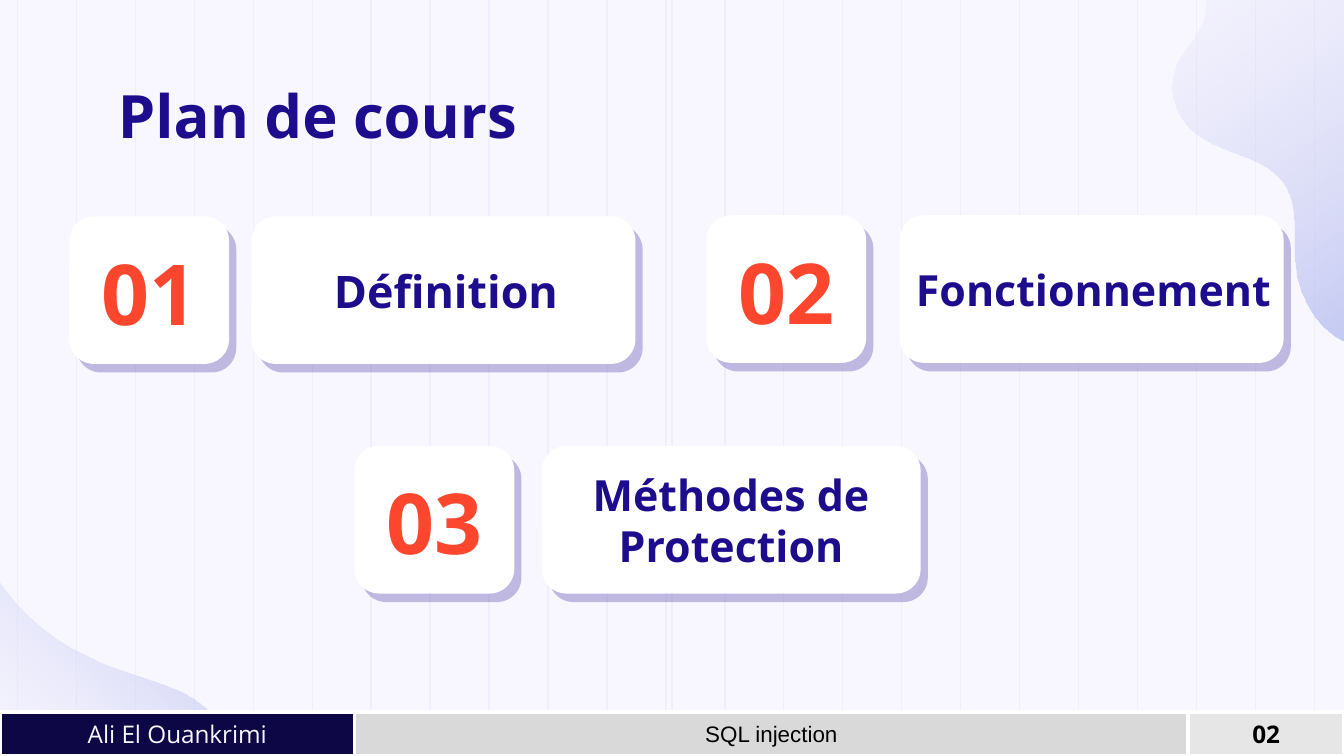
from lxml import etree
from pptx import Presentation
from pptx.dml.color import RGBColor
from pptx.enum.shapes import MSO_CONNECTOR, MSO_SHAPE
from pptx.enum.text import MSO_ANCHOR, MSO_AUTO_SIZE, PP_ALIGN
from pptx.oxml.ns import qn
from pptx.util import Cm, Pt

LEFT, CENTER = PP_ALIGN.LEFT, PP_ALIGN.CENTER
TOP, MIDDLE = MSO_ANCHOR.TOP, MSO_ANCHOR.MIDDLE
RECT, ROUNDED = MSO_SHAPE.RECTANGLE, MSO_SHAPE.ROUNDED_RECTANGLE

BACKGROUND = RGBColor(0xF8, 0xF6, 0xFF)
PALE = RGBColor(0xEF, 0xEE, 0xFC)
PERIWINKLE = RGBColor(0x9B, 0xA6, 0xE9)
INDIGO = RGBColor(0x1D, 0x0D, 0x8D)
NAVY = RGBColor(0x0E, 0x07, 0x46)
ORANGE = RGBColor(0xFC, 0x46, 0x2D)
WHITE = RGBColor(0xFF, 0xFF, 0xFF)
BLACK = RGBColor(0, 0, 0)
GREY = RGBColor(0xD9, 0xD9, 0xD9)
LIGHT_GREY = RGBColor(0xE7, 0xE6, 0xE6)

SLIDE_W, SLIDE_H = 25.4, 14.29
CARD_H, NUMBER_W = 2.79, 3.02

# Start point, then curves (six numbers) and straight lines (two numbers)
BOTTOM_BLOB = [
    (4.6, 14.53),
    (4.52, 13.92, 3.99, 13.36, 3.45, 13.08),
    (2.9, 12.83, 2.26, 12.7, 1.7, 12.42),
    (0.86, 12.04, 0.18, 11.4, -0.25, 10.59),
    (-0.25, 13.79),
    (-0.25, 14.18, 0.08, 14.53, 0.48, 14.53),
]
TOP_BLOB = [
    (26.92, 5.64),
    (26.75, 6.07, 26.21, 6.63, 25.7, 6.55),
    (24.99, 6.43, 24.54, 5.64, 24.49, 5),
    (24.43, 4.5, 24.56, 3.96, 24.31, 3.53),
    (23.95, 2.9, 22.99, 2.95, 22.48, 2.41),
    (22.15, 2.08, 22.07, 1.52, 22.3, 1.12),
    (22.45, 0.84, 22.73, 0.61, 22.78, 0.28),
    (22.83, 0.08, 22.78, -0.15, 22.76, -0.36),
    (22.71, -0.81, 22.89, -1.45, 23.32, -1.65),
    (23.6, -1.78, 24.03, -1.75, 24.31, -1.63),
    (24.59, -1.52, 24.82, -1.32, 25.02, -1.12),
    (26.24, -0.03, 26.9, 1.52, 27.2, 3.2),
    (27.2, 3.2, 27.48, 4.55, 26.92, 5.64),
]


def box(x, y, w, h):
    return Cm(x), Cm(y), Cm(w), Cm(h)


def set_text(shape, text, size, color, bold=True, font="Open Sans",
             align=CENTER, anchor=MIDDLE):
    tf = shape.text_frame
    tf.word_wrap = True
    tf.auto_size = MSO_AUTO_SIZE.NONE
    tf.vertical_anchor = anchor
    tf.margin_left = tf.margin_right = Cm(0.25)
    tf.margin_top = tf.margin_bottom = Cm(0.18)
    p = tf.paragraphs[0]
    p.alignment = align
    r = p.add_run()
    r.text = text
    r.font.size, r.font.bold, r.font.name = Pt(size), bold, font
    r.font.color.rgb = color


def add_alpha(color_element, percent):
    etree.SubElement(color_element, qn("a:alpha")).set("val", str(percent * 1000))


def stripes(s):
    step = (24.84 - 0.33) / 22
    for x in [0.33 + i * step for i in range(23)] + [SLIDE_W / 2]:
        line = s.shapes.add_connector(MSO_CONNECTOR.STRAIGHT, Cm(x), 0,
                                      Cm(x), Cm(SLIDE_H))
        line.line.color.rgb = PALE
        line.line.width = Pt(0.75)
        etree.SubElement(line._element.spPr, qn("a:effectLst"))
        yield line


def blob(s, segments, angle):
    start, *rest = segments
    builder = s.shapes.build_freeform(Cm(start[0]), Cm(start[1]))
    builder.add_line_segments([(Cm(seg[i]), Cm(seg[i + 1]))
                               for seg in rest for i in range(0, len(seg), 2)])
    sp = builder.convert_to_shape()
    # Turn each three points of a curve into one Bezier segment
    nodes = iter(list(sp._element.spPr.iter(qn("a:lnTo"))))
    for seg in rest:
        node = next(nodes)
        if len(seg) == 6:
            node.tag = qn("a:cubicBezTo")
            for _ in range(2):
                extra = next(nodes)
                node.append(extra[0])
                extra.getparent().remove(extra)
    etree.SubElement(next(sp._element.spPr.iter(qn("a:path"))), qn("a:close"))

    sp.shadow.inherit = False
    sp.line.fill.background()
    sp.fill.gradient()
    sp.fill.gradient_angle = angle
    for stop, color, position in zip(sp.fill.gradient_stops, (PALE, PERIWINKLE), (0, 1)):
        stop.color.rgb = color
        stop.position = position
    for color_element, alpha in zip(sp._element.spPr.iter(qn("a:srgbClr")), (13, 69)):
        add_alpha(color_element, alpha)
    return sp


def backdrop(s):
    parts = [*stripes(s), blob(s, BOTTOM_BLOB, 45), blob(s, TOP_BLOB, 305)]
    # The decoration belongs to the layout, behind the slide's content
    tree = s.slide_layout.shapes._spTree
    for i, part in enumerate(parts):
        next(part._element.iter(qn("p:cNvPr"))).set("id", str(100 + i))
        tree.append(part._element)


def panel(s, x, y, w):
    sp = s.shapes.add_shape(ROUNDED, *box(x, y, w, CARD_H))
    sp.adjustments[0] = 0.167
    sp.fill.solid()
    sp.fill.fore_color.rgb = WHITE
    sp.line.fill.background()
    # Hard offset shadow
    sp.shadow.inherit = False
    effects = sp._element.spPr.find(qn("a:effectLst"))
    shadow = etree.SubElement(effects, qn("a:outerShdw"), blurRad="0",
                              dist=str(Pt(6)), dir=str(50 * 60000),
                              algn="bl", rotWithShape="0")
    color = etree.SubElement(shadow, qn("a:srgbClr"), val=str(INDIGO))
    add_alpha(color, 25)


def plan_item(s, x, y, number, label, size, label_dx, label_w, text_dx, text_w):
    panel(s, x, y, NUMBER_W)
    panel(s, x + label_dx, y, label_w)
    tb = s.shapes.add_textbox(*box(x, y + 0.32, NUMBER_W, 2.21))
    set_text(tb, number, 45, ORANGE)
    tb = s.shapes.add_textbox(*box(x + text_dx, y, text_w, CARD_H))
    set_text(tb, label, size, INDIGO)


def footer(s, y, h):
    cells = [
        (6.7, 15.76, GREY, "SQL injection", 12, BLACK, False, "Arial"),
        (0, 6.7, NAVY, "Ali El Ouankrimi", 13, BACKGROUND, False, "Open Sans"),
        (22.46, 2.94, LIGHT_GREY, "02", 13, BLACK, True, "Open Sans"),
    ]
    for x, w, fill, text, size, color, bold, font in cells:
        sp = s.shapes.add_shape(RECT, *box(x, y, w, h))
        sp.shadow.inherit = False
        sp.fill.solid()
        sp.fill.fore_color.rgb = fill
        sp.line.color.rgb = WHITE
        sp.line.width = Pt(2)
        set_text(sp, text, size, color, bold, font)


prs = Presentation()
prs.slide_width, prs.slide_height = Cm(SLIDE_W), Cm(SLIDE_H)
s = prs.slides.add_slide(prs.slide_layouts[5])
s.background.fill.solid()
s.background.fill.fore_color.rgb = BACKGROUND
backdrop(s)

# Title
title = s.shapes.title
title.left, title.top, title.width, title.height = box(1.98, 1.3, 10.69, 1.96)
set_text(title, "Plan de cours", 32, INDIGO, align=LEFT, anchor=TOP)

# Course plan
plan_item(s, 1.31, 4.09, "01", "Définition", 24, 3.44, 7.26, 3.54, 7.16)
plan_item(s, 13.35, 4.07, "02", "Fonctionnement", 23, 3.65, 7.26, 3.55, 7.54)
plan_item(s, 6.7, 8.43, "03", "Méthodes de Protection", 23, 3.54, 7.16, 3.54, 7.16)

footer(s, 13.46, 0.83)
prs.save("out.pptx")
